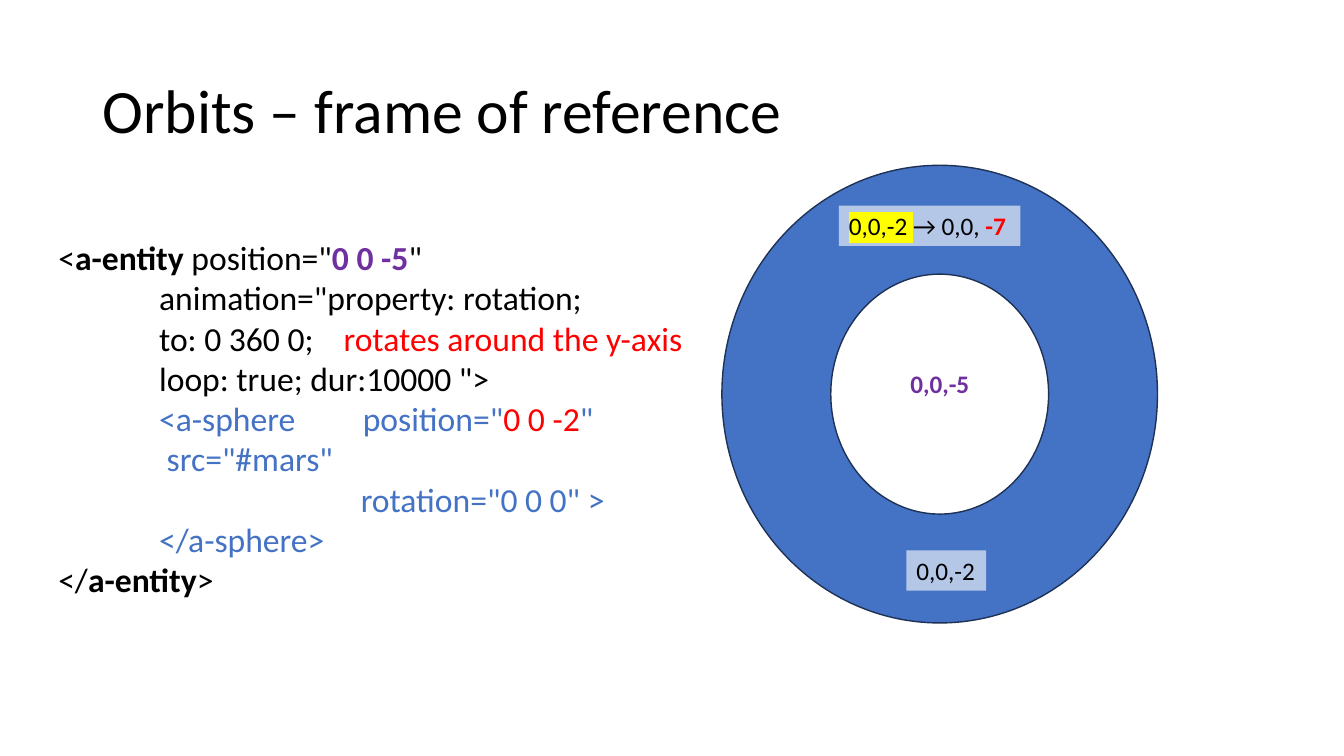
from lxml import etree
from pptx import Presentation
from pptx.dml.color import RGBColor
from pptx.enum.shapes import MSO_SHAPE
from pptx.enum.text import MSO_ANCHOR, MSO_AUTO_SIZE, PP_ALIGN
from pptx.oxml.ns import qn
from pptx.util import Inches, Pt

DONUT, RECTANGLE = MSO_SHAPE.DONUT, MSO_SHAPE.RECTANGLE
TOP, MIDDLE = MSO_ANCHOR.TOP, MSO_ANCHOR.MIDDLE
GROW, FIXED = MSO_AUTO_SIZE.SHAPE_TO_FIT_TEXT, MSO_AUTO_SIZE.NONE
LEFT = PP_ALIGN.LEFT

FONT = "Calibri"
BLACK = RGBColor(0x00, 0x00, 0x00)
BLUE = RGBColor(0x44, 0x72, 0xC4)
NAVY = RGBColor(0x1E, 0x32, 0x56)
PALE_BLUE = RGBColor(0xB4, 0xC7, 0xE7)
PURPLE = RGBColor(0x70, 0x30, 0xA0)
RED = RGBColor(0xFF, 0x00, 0x00)
YELLOW = RGBColor(0xFF, 0xFF, 0x00)

# Span formats: colour, bold, highlight
PLAIN = (BLACK, False, None)
STRONG = (BLACK, True, None)
CENTRE = (PURPLE, True, None)
CHILD = (BLUE, False, None)
CHANGED = (RED, False, None)
RESULT = (RED, True, None)
MARKED = (BLACK, False, YELLOW)

TITLE = [([("Orbits – frame of reference", PLAIN)], [])]

# Each line: its spans, then its tab stops in inches
CODE = [
    ([("<", PLAIN), ("a-entity", STRONG), (' position="', PLAIN),
      ("0 0 -5", CENTRE), ('"', PLAIN)], []),
    ([('\tanimation="property: rotation;', PLAIN)], [1]),
    ([("\tto: 0 360 0;\t", PLAIN), ("rotates around the y-axis", CHANGED)], [1, 2.83]),
    ([('\tloop: true; dur:10000 ">', PLAIN)], [1]),
    ([('\t<a-sphere\tposition="', CHILD), ("0 0 -2", CHANGED), ('"', CHILD)], [1, 3.02]),
    ([('\t src="#mars"', CHILD)], [1]),
    ([('\trotation="0 0 0" >', CHILD)], [3]),
    ([("\t</a-sphere>", CHILD)], [1]),
    ([("</", PLAIN), ("a-entity", STRONG), (">", PLAIN)], []),
]

# Orbit labels: left, top, width, fill, spans
LABEL_HEIGHT = 0.4
LABELS = [
    (8.93, 3.61, 0.79, None, [("0,0,-5", CENTRE)]),
    (8.99, 5.46, 0.79, PALE_BLUE, [("0,0,-2", PLAIN)]),
    (8.32, 2.04, 1.8, PALE_BLUE,
     [("0,0,-2 ", MARKED), ("→ 0,0, ", PLAIN), ("-7", RESULT)]),
]


def add_span(para, text, size, style):
    colour, bold, highlight = style
    span = para.add_run()
    span.text = text
    for name, value in {"name": FONT, "size": Pt(size), "bold": bold}.items():
        setattr(span.font, name, value)
    span.font.color.rgb = colour
    if highlight is not None:
        mark = etree.Element(qn("a:highlight"))
        etree.SubElement(mark, qn("a:srgbClr"), val=str(highlight))
        span.font._element.find(qn("a:solidFill")).addnext(mark)


def set_tabs(para, stops):
    tabs = etree.SubElement(para._p.get_or_add_pPr(), qn("a:tabLst"))
    for stop in stops:
        etree.SubElement(tabs, qn("a:tab"), pos=str(Inches(stop)), algn="l")


def write(box, lines, size, spacing=1.0, **frame_format):
    frame = box.text_frame
    for name, value in frame_format.items():
        setattr(frame, name, value)
    for index, (spans, stops) in enumerate(lines):
        para = frame.add_paragraph() if index else frame.paragraphs[0]
        para.alignment = LEFT
        para.line_spacing = spacing
        if stops:
            set_tabs(para, stops)
        for text, style in spans:
            add_span(para, text, size, style)


def add_filled(page, kind, place, fill):
    shape = page.shapes.add_shape(kind, *map(Inches, place))
    shape.shadow.inherit = False
    shape.fill.solid()
    shape.fill.fore_color.rgb = fill
    shape.line.fill.background()
    return shape


def add_text_box(page, place):
    return page.shapes.add_textbox(*map(Inches, place))


def main():
    deck = Presentation()
    deck.slide_width, deck.slide_height = Inches(13.33), Inches(7.5)
    page = deck.slides.add_slide(deck.slide_layouts[6])

    title = add_text_box(page, (0.92, 0.4, 11.5, 1.45))
    write(title, TITLE, 44, 0.9, word_wrap=True, auto_size=FIXED, vertical_anchor=MIDDLE)

    orbit = add_filled(page, DONUT, (7.16, 1.64, 4.32, 4.54), BLUE)
    orbit.line.color.rgb = NAVY
    orbit.line.width = Pt(1)

    code = add_text_box(page, (0.48, 2.3, 6.67, 3.74))
    write(code, CODE, 24, word_wrap=True, auto_size=GROW, vertical_anchor=TOP)

    for left, top, width, fill, spans in LABELS:
        place = (left, top, width, LABEL_HEIGHT)
        label = add_filled(page, RECTANGLE, place, fill) if fill else add_text_box(page, place)
        write(label, [(spans, [])], 18, word_wrap=False, auto_size=GROW, vertical_anchor=TOP)

    deck.save("out.pptx")


if __name__ == "__main__":
    main()
